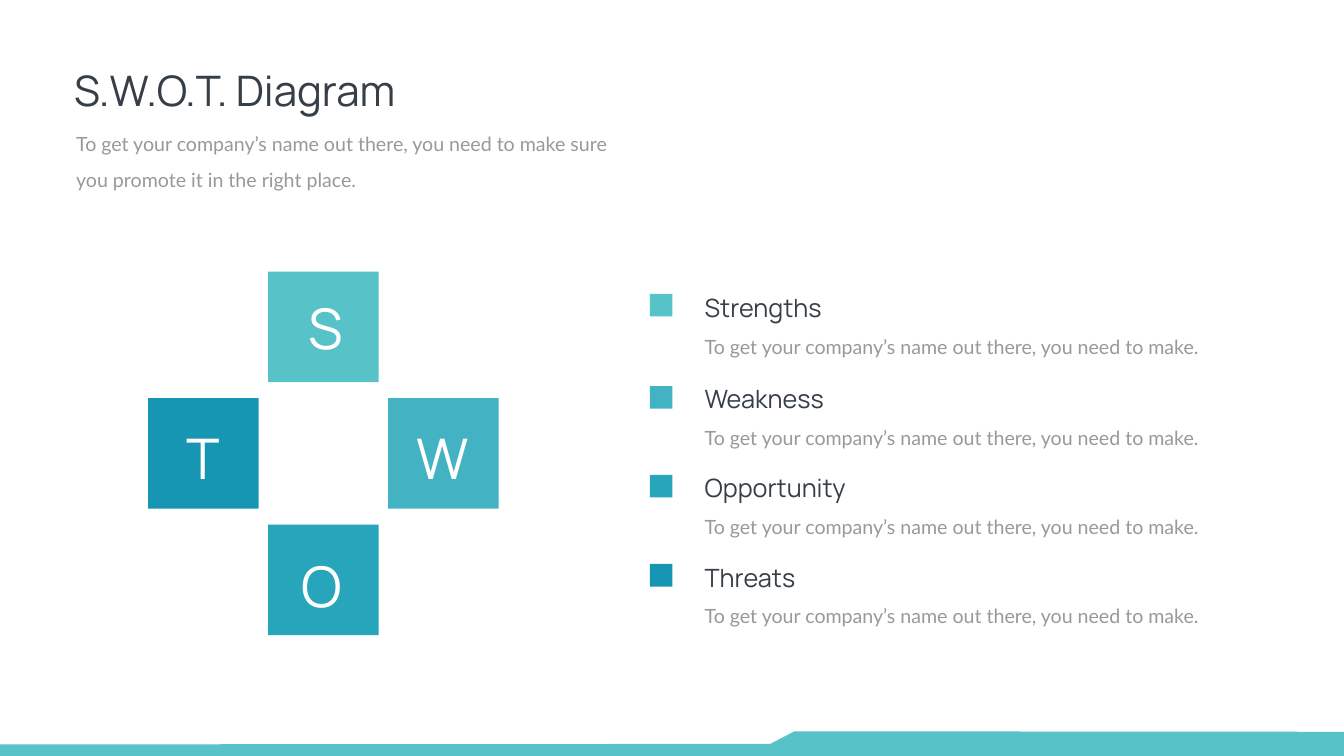
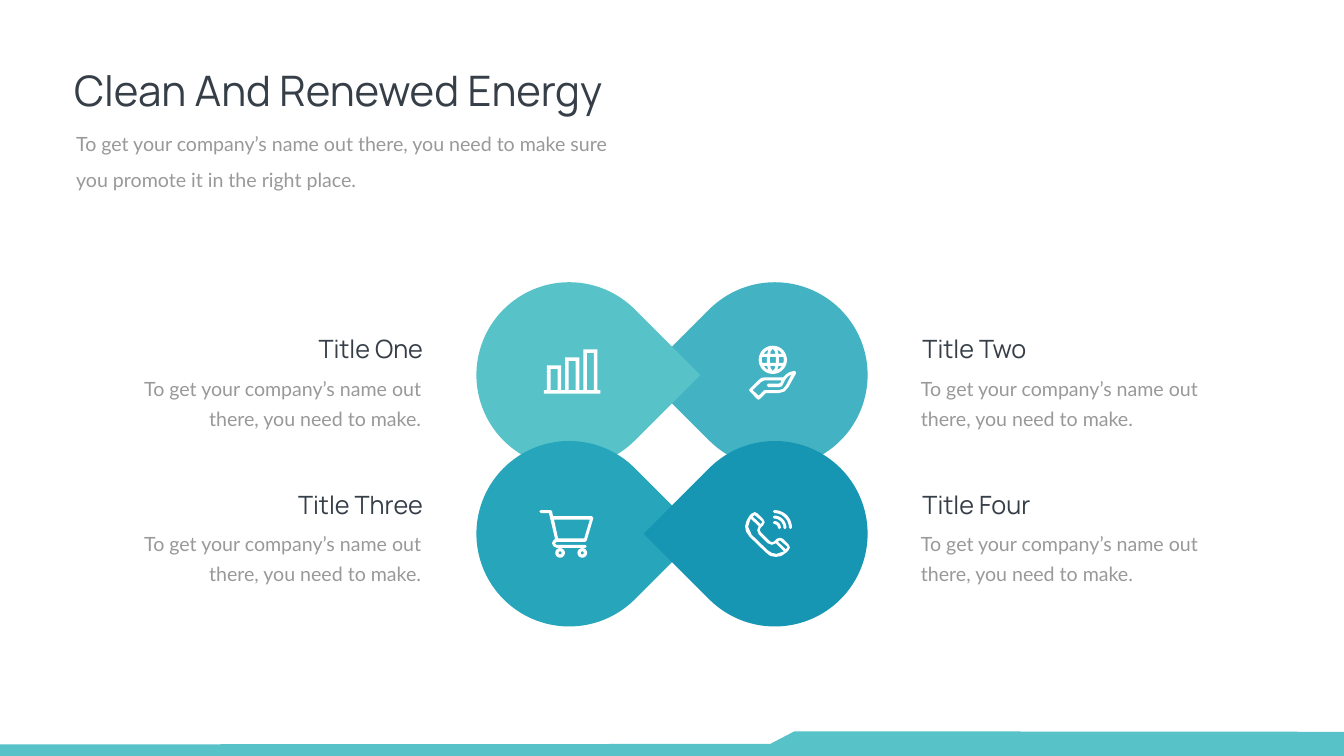
from math import cos, radians, sin

from pptx import Presentation
from pptx.dml.color import RGBColor
from pptx.enum.shapes import MSO_SHAPE
from pptx.enum.text import MSO_ANCHOR, MSO_AUTO_SIZE, PP_ALIGN
from pptx.oxml.ns import qn
from pptx.util import Pt

RECT, TEAR = MSO_SHAPE.RECTANGLE, MSO_SHAPE.TEAR
LEFT, CENTER, RIGHT = PP_ALIGN.LEFT, PP_ALIGN.CENTER, PP_ALIGN.RIGHT
TOP, GROW = MSO_ANCHOR.TOP, MSO_AUTO_SIZE.SHAPE_TO_FIT_TEXT

PX = 9144  # EMU per px, 100 px to the inch
WIDTH, HEIGHT = 2666, 1500

INK = RGBColor(0x36, 0x3E, 0x48)
GREY = RGBColor(0x99, 0x99, 0x99)
WHITE = RGBColor(0xFF, 0xFF, 0xFF)
AQUA = RGBColor(0x57, 0xC3, 0xC8)
SKY = RGBColor(0x43, 0xB2, 0xC2)
TEAL = RGBColor(0x26, 0xA5, 0xBB)
DEEP = RGBColor(0x17, 0x96, 0xB4)

HEAD_FONT, BODY_FONT = "Manrope", "Lato"
SUBTITLE = ("To get your company’s name out there, you need to make sure "
            "you promote it in the right place.")
CAPTION = "To get your company’s name out there, you need to make."
BAND = [(0, 1500), (2666, 1500), (2666, 1452), (1576, 1451), (1528, 1476),
        (0, 1477)]


def write(shape, text, size=28, font=BODY_FONT, color=GREY, align=LEFT,
          spacing=None):
    tf = shape.text_frame
    tf.word_wrap = True
    tf.auto_size = GROW
    tf.vertical_anchor = TOP
    p = tf.paragraphs[0]
    p.alignment = align
    p.space_before = Pt(0)
    if spacing:
        p.line_spacing = spacing
    r = p.add_run()
    r.text = text
    r.font.size = Pt(size)
    r.font.name = font
    r.font.color.rgb = color
    return p


def place(shape, x, y, w, h):
    shape.left, shape.top, shape.width, shape.height = (
        v * PX for v in (x, y, w, h))


def box(x1, y1, x2, y2):
    return [(x1, y1), (x2, y1), (x2, y2), (x1, y2)]


def arc(cx, cy, r, start=0, end=360, step=10):
    return [(cx + r * cos(radians(a)), cy + r * sin(radians(a)))
            for a in range(start, end + step, step)]


class Deck:
    """Holds the presentation style and the slide being filled."""

    def __init__(self):
        self.prs = Presentation()
        self.prs.slide_width = WIDTH * PX
        self.prs.slide_height = HEIGHT * PX
        self.s = None

    def slide(self, title):
        """Start a slide with its title, subtitle and bottom band."""
        self.s = self.prs.slides.add_slide(self.prs.slide_layouts[1])
        head, body = self.s.placeholders
        place(head, 137, 123, 1395, 111)
        write(head, title, size=60, font=HEAD_FONT, color=INK)
        place(body, 141, 234, 1121, 142)
        p = write(body, SUBTITLE, spacing=1.5)
        pPr = p._p.get_or_add_pPr()
        pPr.set("marL", "0")
        pPr.set("indent", "0")
        pPr.append(pPr.makeelement(qn("a:buNone"), {}))
        self.outline([BAND], AQUA)

    def paint(self, shape, color):
        shape.shadow.inherit = False
        shape.fill.solid()
        shape.fill.fore_color.rgb = color
        shape.line.fill.background()

    def shape(self, kind, x, y, side, color, rotation=0):
        sp = self.s.shapes.add_shape(kind, x * PX, y * PX, side * PX, side * PX)
        sp.rotation = rotation
        self.paint(sp, color)

    def outline(self, contours, color=WHITE):
        """Fill closed contours as one freeform; inner contours are holes."""
        scaled = [[(x * PX, y * PX) for x, y in c] for c in contours]
        first, *rest = scaled
        fb = self.s.shapes.build_freeform(*first[0], scale=1.0)
        fb.add_line_segments(first[1:], close=True)
        for c in rest:
            fb.move_to(*c[0])
            fb.add_line_segments(c[1:], close=True)
        self.paint(fb.convert_to_shape(), color)

    def text(self, text, x, y, w, h, **style):
        sp = self.s.shapes.add_textbox(x * PX, y * PX, w * PX, h * PX)
        write(sp, text, **style)

    def heading(self, text, x, y, w, align=LEFT):
        self.text(text, x, y, w, 71, size=36, font=HEAD_FONT, color=INK,
                  align=align)

    def caption(self, x, y, w, h, align=LEFT):
        self.text(CAPTION, x, y, w, h, align=align, spacing=Pt(43))


def bars_icon(deck):
    contours = [box(1079, 774, 1191, 781)]
    for i in range(3):
        x, y = 1085 + 36 * i, 725 - 16 * i
        contours += [box(x, y, x + 28, 774), box(x + 7, y + 7, x + 21, 774)]
    deck.outline(contours)


def globe_icon(deck):
    cx, cy = 1533, 714
    corner = [(9, 20), (11, 12), (18, 12), (14, 17)]
    side = [(12, -6), (21, -6), (22, 0), (21, 6), (12, 6)]
    cap = [(-5, 12), (-4, 17), (0, 22), (4, 17), (5, 12)]

    def flip(cell, sx, sy):
        return [(cx + sx * x, cy + sy * y) for x, y in cell]

    contours = [arc(cx, cy, 28), box(cx - 6, cy - 6, cx + 6, cy + 6)]
    for sign in (-1, 1):
        contours += [flip(side, sign, 1), flip(cap, 1, sign),
                     flip(corner, sign, 1), flip(corner, sign, -1)]
    deck.outline(contours)


def hand_icon(deck):
    edge = [(1579, 738), (1576, 736), (1567, 738), (1559, 743), (1553, 749),
            (1516, 749), (1510, 750), (1505, 754), (1487, 772), (1486, 774),
            (1487, 776), (1502, 792), (1505, 793), (1507, 792), (1519, 780),
            (1545, 780), (1556, 777), (1564, 768), (1579, 741)]
    palm = [(1559, 765), (1553, 772), (1545, 774), (1517, 774), (1515, 775),
            (1505, 785), (1493, 774), (1510, 758), (1516, 755), (1550, 755),
            (1548, 760), (1545, 761), (1524, 761), (1521, 764), (1524, 768),
            (1545, 768), (1550, 767), (1553, 763), (1558, 753), (1563, 747),
            (1570, 743)]
    deck.outline([edge, palm])


def cart_icon(deck):
    frame = [(1104, 1075), (1161, 1075), (1164, 1072), (1177, 1028),
             (1176, 1026), (1174, 1024), (1097, 1024), (1095, 1014),
             (1092, 1012), (1073, 1012), (1070, 1015), (1073, 1018),
             (1089, 1018), (1101, 1069), (1097, 1073), (1095, 1078),
             (1098, 1084), (1104, 1087), (1161, 1087), (1164, 1084),
             (1161, 1081), (1104, 1081), (1101, 1078)]
    basket = [(1170, 1031), (1159, 1068), (1107, 1068), (1099, 1031)]
    deck.outline([frame, basket])
    for cx in (1111, 1155):
        deck.outline([arc(cx, 1097, 9.5), arc(cx, 1097, 3)])


def phone_icon(deck):
    edge = [(1553, 1069), (1547, 1067), (1541, 1069), (1536, 1074),
            (1532, 1076), (1527, 1074), (1509, 1056), (1507, 1051),
            (1509, 1047), (1514, 1042), (1517, 1036), (1514, 1030),
            (1503, 1019), (1497, 1016), (1491, 1019), (1487, 1023),
            (1481, 1033), (1478, 1044), (1480, 1055), (1487, 1065),
            (1519, 1096), (1528, 1103), (1539, 1105), (1550, 1103),
            (1560, 1096), (1564, 1092), (1567, 1086), (1564, 1080)]
    handle = [(1523, 1092), (1491, 1061), (1484, 1045), (1489, 1029),
              (1505, 1044), (1502, 1052), (1505, 1060), (1523, 1078),
              (1531, 1081), (1539, 1078), (1555, 1094), (1540, 1099),
              (1531, 1097)]
    earpiece = [(1493, 1025), (1497, 1022), (1511, 1034), (1512, 1036),
                (1509, 1040)]
    mouthpiece = [(1543, 1075), (1547, 1072), (1561, 1084), (1562, 1086),
                  (1559, 1090)]
    deck.outline([edge, handle, earpiece, mouthpiece])
    cx, cy = 1536, 1047
    for r in (35, 24, 13):
        outer, inner = arc(cx, cy, r, -90, 0), arc(cx, cy, r - 6, -90, 0)
        wave = outer + [(cx + r - 3, cy + 3)] + inner[::-1]
        deck.outline([wave + [(cx - 3, cy - r + 3)]])


def swot_slide(deck):
    deck.slide("S.W.O.T. Diagram")
    # name, colour, tile corner, letter corner, heading top, marker top
    items = [
        ("Strengths", AQUA, (532, 539), (577, 578), 575, 583),
        ("Weakness", SKY, (770, 790), (810, 835), 756, 766),
        ("Opportunity", TEAL, (532, 1041), (570, 1089), 933, 942),
        ("Threats", DEEP, (294, 790), (334, 835), 1110, 1119),
    ]
    for name, color, tile, letter, top, marker in items:
        deck.shape(RECT, *tile, 219, color)
        deck.text(name[0], *letter, 138, 145, size=80, font=HEAD_FONT,
                  color=WHITE, align=CENTER)
        deck.caption(1388, top + 71, 1047, 65)
        deck.heading(name, 1388, top, 326)
        deck.shape(RECT, 1289, marker, 45, color)


def energy_slide(deck):
    deck.slide("Clean And Renewed Energy")
    for x, y, color, rotation in [(1353, 560, SKY, 225), (945, 560, AQUA, 45),
                                  (945, 875, TEAL, 45), (1353, 875, DEEP, 225)]:
        deck.shape(TEAR, x, y, 368, color, rotation)
    rows = [("Title One", "Title Two", 657, 730),
            ("Title Three", "Title Four", 966, 1037)]
    for left, right, top, caption_top in rows:
        deck.heading(left, 438, top, 411, RIGHT)
        deck.caption(253, caption_top, 592, 125, RIGHT)
        deck.heading(right, 1820, top, 368)
        deck.caption(1817, caption_top, 612, 125)
    for icon in (phone_icon, cart_icon, hand_icon, globe_icon, bars_icon):
        icon(deck)


def main():
    deck = Deck()
    swot_slide(deck)
    energy_slide(deck)
    deck.prs.save("out.pptx")


if __name__ == "__main__":
    main()
